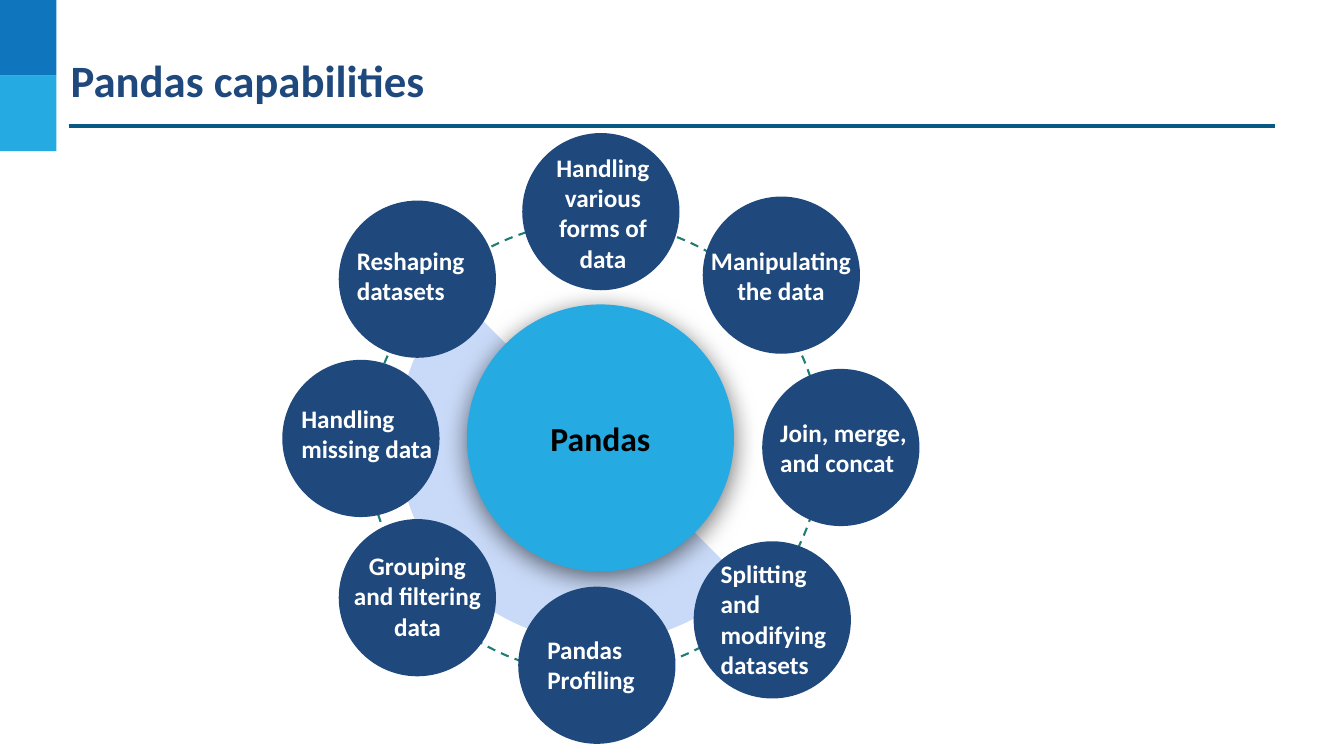
import pptx
import pptx.util
import pptx.dml.color
import pptx.enum.dml
import pptx.enum.shapes
import pptx.enum.text
import pptx.oxml
import pptx.oxml.ns
from dataclasses import dataclass

Inches = pptx.util.Inches
Pt = pptx.util.Pt
SHAPE = pptx.enum.shapes.MSO_SHAPE
ALIGN = pptx.enum.text.PP_ALIGN
ANCHOR = pptx.enum.text.MSO_ANCHOR

TITLE = "Pandas capabilities"
HUB = "Pandas"
# label, circle (left, top), text box (left, top, width, height), alignment
CAPABILITIES = [
    ("Handling various forms of data", (5.18, 1.32), (5.24, 1.41, 1.48, 1.41), ALIGN.CENTER),
    ("Manipulating the data", (6.97, 1.95), (6.89, 2.33, 1.71, 0.81), ALIGN.CENTER),
    ("Join, merge, and concat", (7.56, 3.66), (7.64, 4.04, 1.83, 0.81), ALIGN.LEFT),
    ("Splitting and modifying datasets", (6.88, 5.37), (7.05, 5.44, 1.48, 1.41), ALIGN.LEFT),
    ("Pandas Profiling", (5.14, 5.82), (5.33, 6.19, 1.48, 0.81), ALIGN.LEFT),
    ("Grouping and filtering data", (3.36, 5.15), (3.4, 5.36, 1.48, 1.11), ALIGN.CENTER),
    ("Handling missing data", (2.8, 3.57), (2.89, 3.9, 1.83, 0.81), ALIGN.LEFT),
    ("Reshaping datasets", (3.36, 1.99), (3.44, 2.33, 1.48, 0.81), ALIGN.LEFT),
]
CIRCLE_SIZE = 1.56
CORNER_WIDTH, CORNER_HEIGHT = 0.56, 0.75
PIE_ANGLES = (44.83, 225.18)


@dataclass(frozen=True)
class Theme:
    font: str = "Calibri"
    navy: str = "1F497D"
    blue: str = "0F75BD"
    sky: str = "25AAE2"
    rule: str = "095A82"
    ring: str = "1D7E74"
    pale: str = "C9DAF8"
    white: str = "FFFFFF"
    black: str = "000000"
    title_size: int = 32
    hub_size: int = 24
    label_size: int = 18


THEME = Theme()


def rgb(value):
    return pptx.dml.color.RGBColor.from_string(value)


def add_filled(page, kind, area, color=None):
    shape = page.shapes.add_shape(kind, *map(Inches, area))
    shape.shadow.inherit = False
    shape.line.fill.background()
    if color:
        shape.fill.solid()
        shape.fill.fore_color.rgb = rgb(color)
    else:
        shape.fill.background()
    return shape


def write(shape, text, size, color, align, inset, anchor=ANCHOR.TOP):
    frame = shape.text_frame
    frame.word_wrap = True
    frame.vertical_anchor = anchor
    frame.margin_left = frame.margin_right = Inches(inset)
    frame.margin_top = frame.margin_bottom = Inches(inset)
    para = frame.paragraphs[0]
    para.alignment = align
    span = para.add_run()
    span.text = text
    span.font.name = THEME.font
    span.font.size = Pt(size)
    span.font.bold = True
    span.font.color.rgb = rgb(color)


def add_text(page, area, *text_settings):
    box = page.shapes.add_textbox(*map(Inches, area))
    write(box, *text_settings)


def add_drop_shadow(shape):
    effects = shape._element.spPr.find(pptx.oxml.ns.qn("a:effectLst"))
    effects.append(pptx.oxml.parse_xml(
        f'<a:outerShdw {pptx.oxml.ns.nsdecls("a")} blurRad="{Pt(18)}" dist="{Pt(4)}" '
        f'dir="5400000" algn="ctr" rotWithShape="0"><a:srgbClr val="{THEME.black}">'
        '<a:alpha val="55000"/></a:srgbClr></a:outerShdw>'))


def add_header(page):
    for row, color in enumerate((THEME.blue, THEME.sky)):
        area = (0, row * CORNER_HEIGHT, CORNER_WIDTH, CORNER_HEIGHT)
        add_filled(page, SHAPE.RECTANGLE, area, color)
    rule = page.shapes.add_connector(
        pptx.enum.shapes.MSO_CONNECTOR.STRAIGHT, *map(Inches, (0.68, 1.25, 12.65, 1.25)))
    rule.line.color.rgb = rgb(THEME.rule)
    rule.line.width = Pt(2.25)
    rule._element.spPr.append(pptx.oxml.parse_xml(
        f'<a:effectLst {pptx.oxml.ns.nsdecls("a")}/>'))
    add_text(page, (0.68, 0.5, 11.97, 0.54), TITLE, THEME.title_size,
             THEME.navy, ALIGN.LEFT, 0.02)


def add_hub(page):
    ring = add_filled(page, SHAPE.OVAL, (3.66, 2.19, 4.48, 4.5))
    ring.rotation = 270
    ring.line.color.rgb = rgb(THEME.ring)
    ring.line.width = Pt(1.5)
    ring.line.dash_style = pptx.enum.dml.MSO_LINE.DASH

    pie = add_filled(page, SHAPE.PIE, (3.95, 2.33, 4, 4.04), THEME.pale)
    for index, degrees in enumerate(PIE_ANGLES):
        # angles count in 1/60000 degree, adjustments in 1/100000
        pie.adjustments[index] = degrees * 0.6

    hub = add_filled(page, SHAPE.OVAL, (4.63, 3.02, 2.65, 2.65), THEME.sky)
    add_drop_shadow(hub)
    write(hub, HUB, THEME.hub_size, THEME.black, ALIGN.CENTER, 0.13, ANCHOR.MIDDLE)


def main():
    deck = pptx.Presentation()
    deck.slide_width, deck.slide_height = Inches(13.33), Inches(7.5)
    page = deck.slides.add_slide(deck.slide_layouts[6])
    add_header(page)
    add_hub(page)
    for label, corner, text_area, align in CAPABILITIES:
        add_filled(page, SHAPE.OVAL, (*corner, CIRCLE_SIZE, CIRCLE_SIZE), THEME.navy)
        add_text(page, text_area, label, THEME.label_size, THEME.white, align, 0.1)
    deck.save("out.pptx")


if __name__ == "__main__":
    main()
